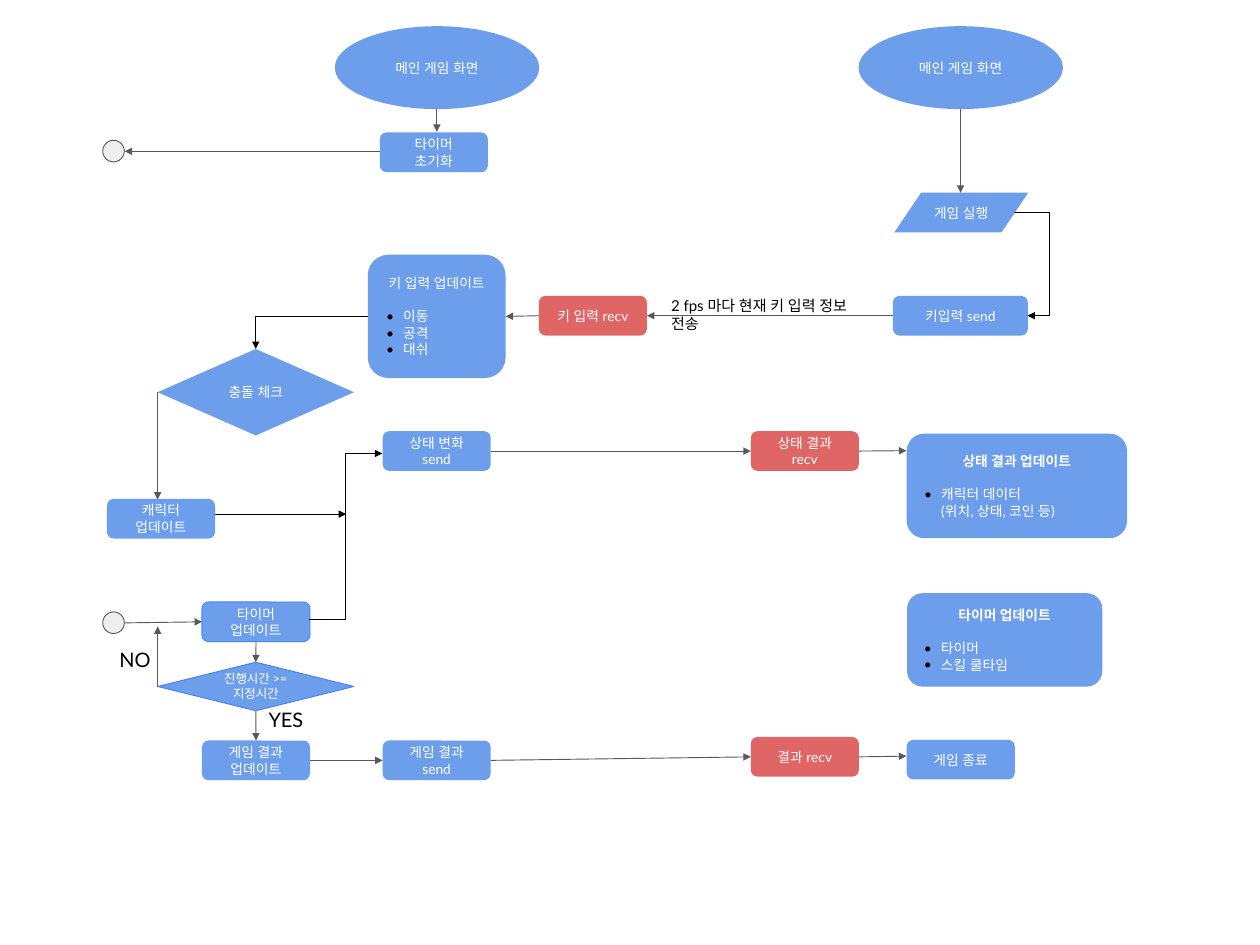
from lxml.etree import SubElement
from pptx import Presentation
from pptx.dml.color import RGBColor
from pptx.enum.shapes import MSO_CONNECTOR as Link, MSO_SHAPE as Form
from pptx.enum.text import MSO_ANCHOR as Anchor, MSO_AUTO_SIZE as Fit, PP_ALIGN as Align
from pptx.oxml.ns import qn
from pptx.util import Cm, Pt

BLUE = RGBColor(0x6D, 0x9E, 0xEB)
RED = RGBColor(0xE0, 0x66, 0x66)
EDGE = RGBColor(0x42, 0x85, 0xF4)
PALE = RGBColor(0xEE, 0xEE, 0xEE)
GREY = RGBColor(0x59, 0x59, 0x59)
WHITE = RGBColor(0xFF, 0xFF, 0xFF)
BLACK = RGBColor(0, 0, 0)
FONT = "Lato"
INSET = 0.35
INDENT = 0.48
TOP, LEFT, BOTTOM, RIGHT = range(4)

# All positions and sizes are in centimetres
OVAL, BOX, RHOMB, DOT = (5.77, 2.34), (3.05, 1.12), (5.54, 2.44), (0.61, 0.61)

# name: (form, left, top, size, fill, outline, text, font size)
STEPS = {
    "server start": (Form.OVAL, 9.45, 0.74, OVAL, BLUE, None, "메인 게임 화면", 11),
    "client start": (Form.OVAL, 24.23, 0.74, OVAL, BLUE, None, "메인 게임 화면", 11),
    "timer init": (Form.ROUNDED_RECTANGLE, 10.72, 3.74, BOX, BLUE, None, "타이머 초기화", 11),
    "run game": (Form.FLOWCHART_DATA, 25.24, 5.44, (3.78, 1.12), BLUE, None, "게임 실행", 11),
    "key send": (Form.ROUNDED_RECTANGLE, 25.2, 8.35, (3.81, 1.12), BLUE, None, "키입력 send", 11),
    "key recv": (Form.ROUNDED_RECTANGLE, 15.21, 8.35, BOX, RED, None, "키 입력 recv", 11),
    "collision": (Form.FLOWCHART_DECISION, 4.45, 9.85, RHOMB, BLUE, None, "충돌 체크", 11),
    "state send": (Form.ROUNDED_RECTANGLE, 10.8, 12.17, BOX, BLUE, None, "상태 변화 send", 11),
    "state recv": (Form.ROUNDED_RECTANGLE, 21.19, 12.17, BOX, RED, None, "상태 결과 recv", 11),
    "character": (Form.ROUNDED_RECTANGLE, 3.02, 14.08, BOX, BLUE, None, "캐릭터 업데이트", 11),
    "timer": (Form.ROUNDED_RECTANGLE, 5.7, 16.99, BOX, BLUE, EDGE, "타이머 업데이트", 11),
    "time check": (Form.FLOWCHART_DECISION, 4.45, 18.69, (5.54, 1.37), BLUE, EDGE,
                   "진행시간 >= 지정시간", 10),
    "result": (Form.ROUNDED_RECTANGLE, 5.7, 20.9, BOX, BLUE, None, "게임 결과 업데이트", 11),
    "result send": (Form.ROUNDED_RECTANGLE, 10.8, 20.9, BOX, BLUE, None, "게임 결과 send", 11),
    "result recv": (Form.ROUNDED_RECTANGLE, 21.19, 20.8, BOX, RED, None, "결과 recv", 11),
    "game end": (Form.ROUNDED_RECTANGLE, 25.59, 20.88, BOX, BLUE, None, "게임 종료", 11),
}

# name: (left, top, size, bold title, title, items as (text, bulleted))
LISTS = {
    "key update": (10.38, 7.19, (3.89, 3.48), False, "키 입력 업데이트",
                   [("이동", True), ("공격", True), ("대쉬", True)]),
    "state update": (25.59, 12.24, (6.22, 2.95), True, "상태 결과 업데이트",
                     [("캐릭터 데이터", True), ("(위치, 상태, 코인 등)", False)]),
    "client timer": (25.6, 16.74, (5.51, 2.64), True, "타이머 업데이트",
                     [("타이머", True), ("스킬 쿨타임", True)]),
}

# Off-page circles: name: (left, top)
DOTS = {"timer out": (2.9, 3.96), "timer in": (2.9, 17.27)}

# Each end is a (step, side) pair or a point
ARROWS = [
    ((27.11, 3.08), (27.11, 5.44)),
    ((12.33, 3.08), (12.33, 3.72)),
    ((10.72, 4.27), (3.52, 4.27)),
    (("key send", LEFT), ("key recv", RIGHT)),
    (("key recv", LEFT), ("key update", RIGHT)),
    (("collision", LEFT), (4.45, 14.1)),
    (("state send", RIGHT), ("state recv", LEFT)),
    (("state recv", RIGHT), (25.58, 12.72)),
    ((3.52, 17.58), ("timer", LEFT)),
    (("timer", BOTTOM), ("time check", TOP)),
    (("time check", BOTTOM), ("result", TOP)),
    (("time check", LEFT), (4.45, 17.68)),
    (("result", RIGHT), ("result send", LEFT)),
    (("result send", RIGHT), ("result recv", LEFT)),
    (("result recv", RIGHT), (25.58, 21.34)),
]
MERGE_ARROW = ((6.06, 14.51), (9.77, 14.51))

# (from, to, preset, bend in thousandths of a percent)
ELBOWS = [
    ((28.63, 6.0), (29.0, 8.91), "bentConnector3", 269200),
    ((10.39, 8.93), (7.22, 9.85), "bentConnector2", None),
    ((8.73, 17.48), (10.79, 12.8), "bentConnector3", 50000),
]

# (left, top, width, height, vertical inset, text, font size)
LABELS = [
    (7.23, 19.63, 2, 1.4, INSET, "YES", 16),
    (3.02, 17.93, 2, 1.4, INSET, "NO", 16),
    (18.59, 8.18, 6.55, 0.86, 0.18, "2 fps 마다 현재 키 입력 정보 전송", 12),
]

presentation = Presentation()
presentation.slide_width, presentation.slide_height = Cm(35.56), Cm(26.67)
slide = presentation.slides.add_slide(presentation.slide_layouts[6])
shapes = slide.shapes
placed = {}


def style_text(paragraph, size, color, bold=False):
    for run in paragraph.runs:
        font = run.font
        font.size, font.bold, font.name = Pt(size), bold, FONT
        font.color.rgb = color
        SubElement(font._element, qn("a:ea"), typeface=FONT)


def set_insets(frame, vertical=INSET):
    frame.word_wrap = True
    frame.margin_left = frame.margin_right = Cm(INSET)
    frame.margin_top = frame.margin_bottom = Cm(vertical)


def add_step(name, form, left, top, size, fill, outline=None):
    shape = shapes.add_shape(form, Cm(left), Cm(top), *map(Cm, size))
    shape.shadow.inherit = False
    shape.fill.solid()
    shape.fill.fore_color.rgb = fill
    if outline is None:
        shape.line.fill.background()
    else:
        shape.line.color.rgb, shape.line.width = outline, Pt(0.75)
    placed[name] = shape
    return shape


def fill_step(shape, text):
    frame = shape.text_frame
    set_insets(frame)
    frame.vertical_anchor = Anchor.MIDDLE
    frame.text = text
    frame.paragraphs[0].alignment = Align.CENTER
    return frame


def indent(paragraph, bulleted):
    properties = paragraph._p.get_or_add_pPr()
    properties.set("marL", str(Cm(INDENT)))
    properties.set("indent", str(Cm(-INDENT) if bulleted else 0))
    if bulleted:
        color = SubElement(properties, qn("a:buClr"))
        SubElement(color, qn("a:srgbClr"), val=str(BLACK))
        SubElement(properties, qn("a:buFont"), typeface=FONT)
        SubElement(properties, qn("a:buChar"), char="•")


def add_arrow(start, end, color=GREY, kind=Link.STRAIGHT):
    points = [(0, 0) if isinstance(place[0], str) else place for place in (start, end)]
    arrow = shapes.add_connector(kind, *(Cm(value) for point in points for value in point))
    for place, join in ((start, arrow.begin_connect), (end, arrow.end_connect)):
        if isinstance(place[0], str):
            join(placed[place[0]], place[1])
    arrow.line.color.rgb, arrow.line.width = color, Pt(0.75)
    SubElement(arrow.line._get_or_add_ln(), qn("a:tailEnd"), type="triangle")
    SubElement(arrow._element.spPr, qn("a:effectLst"))
    return arrow


# Steps with one centred text
for name, (form, left, top, size, fill, outline, text, points) in STEPS.items():
    frame = fill_step(add_step(name, form, left, top, size, fill, outline), text)
    style_text(frame.paragraphs[0], points, WHITE)

# Steps with a title and a list
for name, (left, top, size, bold, title, items) in LISTS.items():
    frame = fill_step(add_step(name, Form.ROUNDED_RECTANGLE, left, top, size, BLUE), title)
    frame.paragraphs[0].space_after = Pt(13)
    style_text(frame.paragraphs[0], 11, WHITE, bold)
    for text, bulleted in items:
        paragraph = frame.add_paragraph()
        paragraph.text = text
        paragraph.alignment = Align.LEFT
        indent(paragraph, bulleted)
        style_text(paragraph, 11, WHITE)

# Circles
for name, (left, top) in DOTS.items():
    add_step(name, Form.FLOWCHART_CONNECTOR, left, top, DOT, PALE, GREY)

# Arrows
for start, end in ARROWS:
    add_arrow(start, end)
add_arrow(*MERGE_ARROW, color=BLACK)
for start, end, preset, bend in ELBOWS:
    geometry = add_arrow(start, end, BLACK, Link.ELBOW)._element.spPr.find(qn("a:prstGeom"))
    geometry.set("prst", preset)
    if bend is not None:
        SubElement(geometry.find(qn("a:avLst")), qn("a:gd"), name="adj1", fmla=f"val {bend}")

# Labels beside the arrows
for left, top, width, height, vertical, text, points in LABELS:
    frame = shapes.add_textbox(Cm(left), Cm(top), Cm(width), Cm(height)).text_frame
    set_insets(frame, vertical)
    frame.auto_size = Fit.SHAPE_TO_FIT_TEXT
    frame.text = text
    style_text(frame.paragraphs[0], points, BLACK)

presentation.save("out.pptx")
